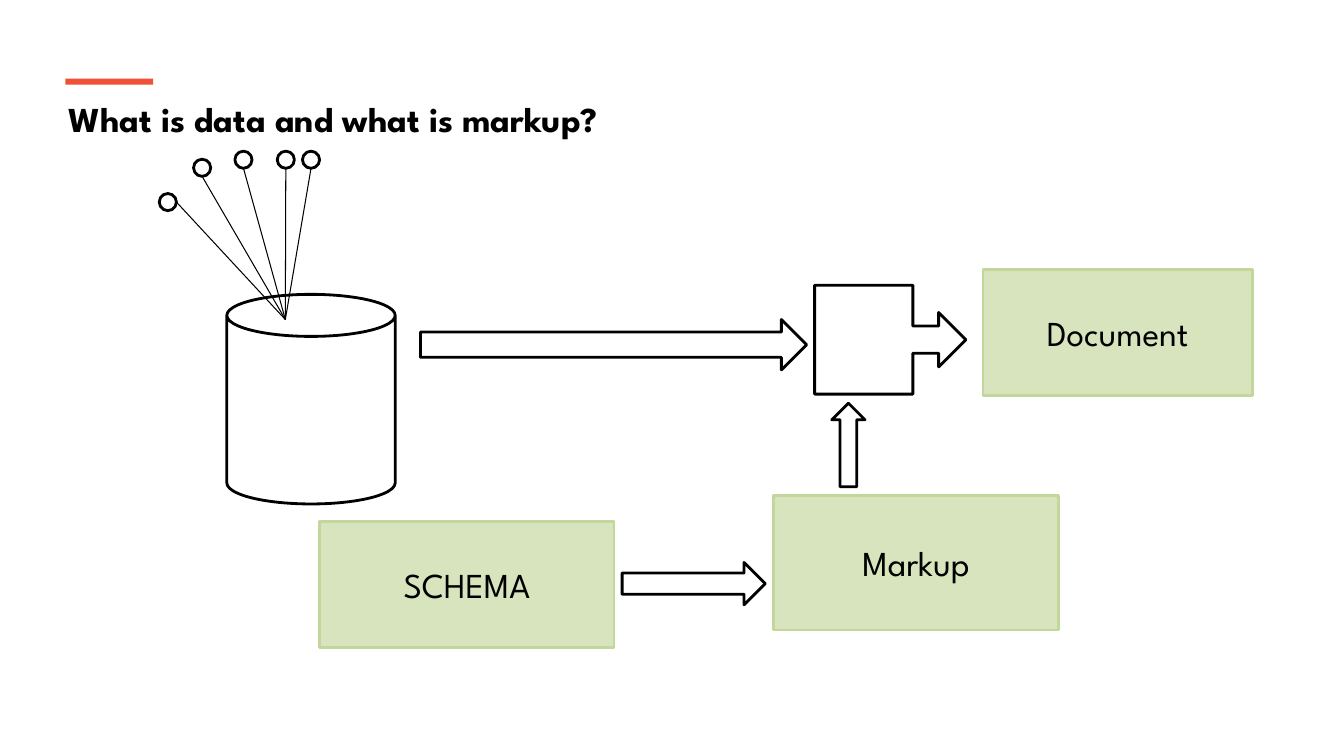
"""Builds a slide showing how data and markup combine into a document."""
from lxml import etree
from pptx import Presentation
from pptx.dml.color import RGBColor
from pptx.enum import shapes, text
from pptx.oxml import ns
from pptx.util import Inches, Pt

KIND = shapes.MSO_SHAPE
FONT, SIZE = "League Spartan", 25
BLACK, RED, GREEN, EDGE = "000000", "F05136", "D7E4BD", "C3D69B"

TITLE = ("What is data and what is markup?", (0.58, 0.92, 12.09, 1.36))
ACCENT = (0.65, 0.78, 0.87, 0.06)
STORE = (2.25, 2.92, 1.67, 2.08)
HUB = (2.83, 3.17)
DOT = 0.17
DOTS = [
    (1.58, 1.92, "right"),
    (1.92, 1.58, "bottom"),
    (2.33, 1.5, "bottom"),
    (2.75, 1.5, "bottom"),
    (3.0, 1.5, "bottom"),
]
FLOWS = [
    (KIND.RIGHT_ARROW, (4.17, 3.17, 3.83, 0.5)),
    (KIND.RIGHT_ARROW_CALLOUT, (8.08, 2.83, 1.5, 1.08)),
    (KIND.RIGHT_ARROW, (6.17, 5.58, 1.42, 0.42)),
    (KIND.UP_ARROW, (8.25, 4.0, 0.33, 0.83)),
]
BOXES = [
    ("Document", (9.75, 2.67, 2.67, 1.25)),
    ("Markup", (7.67, 4.92, 2.83, 1.33)),
    ("SCHEMA", (3.17, 5.17, 2.92, 1.25)),
]


def color(code):
    return RGBColor.from_string(code)


def stroke(line, code, width):
    line.color.rgb = color(code)
    line.width = Pt(width)


def draw(slide, kind, place, fill=None, edge=BLACK):
    shape = slide.shapes.add_shape(kind, *map(Inches, place))
    shape.shadow.inherit = False
    if fill:
        shape.fill.solid()
        shape.fill.fore_color.rgb = color(fill)
    else:
        shape.fill.background()
    if edge:
        stroke(shape.line, edge, 2)
    else:
        shape.line.fill.background()
    return shape


def write(shape, words, bold=False):
    shape.text_frame.word_wrap = True
    para = shape.text_frame.paragraphs[0]
    para.text = words
    font = para.font
    font.name, font.size, font.bold = FONT, Pt(SIZE), bold
    font.color.rgb = color(BLACK)
    return para


def ray(slide, end):
    line = slide.shapes.add_connector(
        shapes.MSO_CONNECTOR.STRAIGHT, *map(Inches, HUB + end))
    stroke(line.line, BLACK, 0.75)
    etree.SubElement(line._element.spPr, ns.qn("a:effectLst"))


def main():
    deck = Presentation()
    deck.slide_width, deck.slide_height = Inches(13.33), Inches(7.5)
    slide = deck.slides.add_slide(deck.slide_layouts[6])

    words, place = TITLE
    write(slide.shapes.add_textbox(*map(Inches, place)), words, bold=True)
    draw(slide, KIND.RECTANGLE, ACCENT, RED, None)
    draw(slide, KIND.CAN, STORE)

    for left, top, side in DOTS:
        if side == "right":
            end = (left + DOT, top + DOT / 2)
        else:
            end = (left + DOT / 2, top + DOT)
        ray(slide, end)
        draw(slide, KIND.OVAL, (left, top, DOT, DOT))

    for kind, place in FLOWS:
        draw(slide, kind, place)

    for words, place in BOXES:
        box = draw(slide, KIND.RECTANGLE, place, GREEN, EDGE)
        box.text_frame.vertical_anchor = text.MSO_ANCHOR.MIDDLE
        write(box, words).alignment = text.PP_ALIGN.CENTER

    deck.save("out.pptx")


if __name__ == "__main__":
    main()
